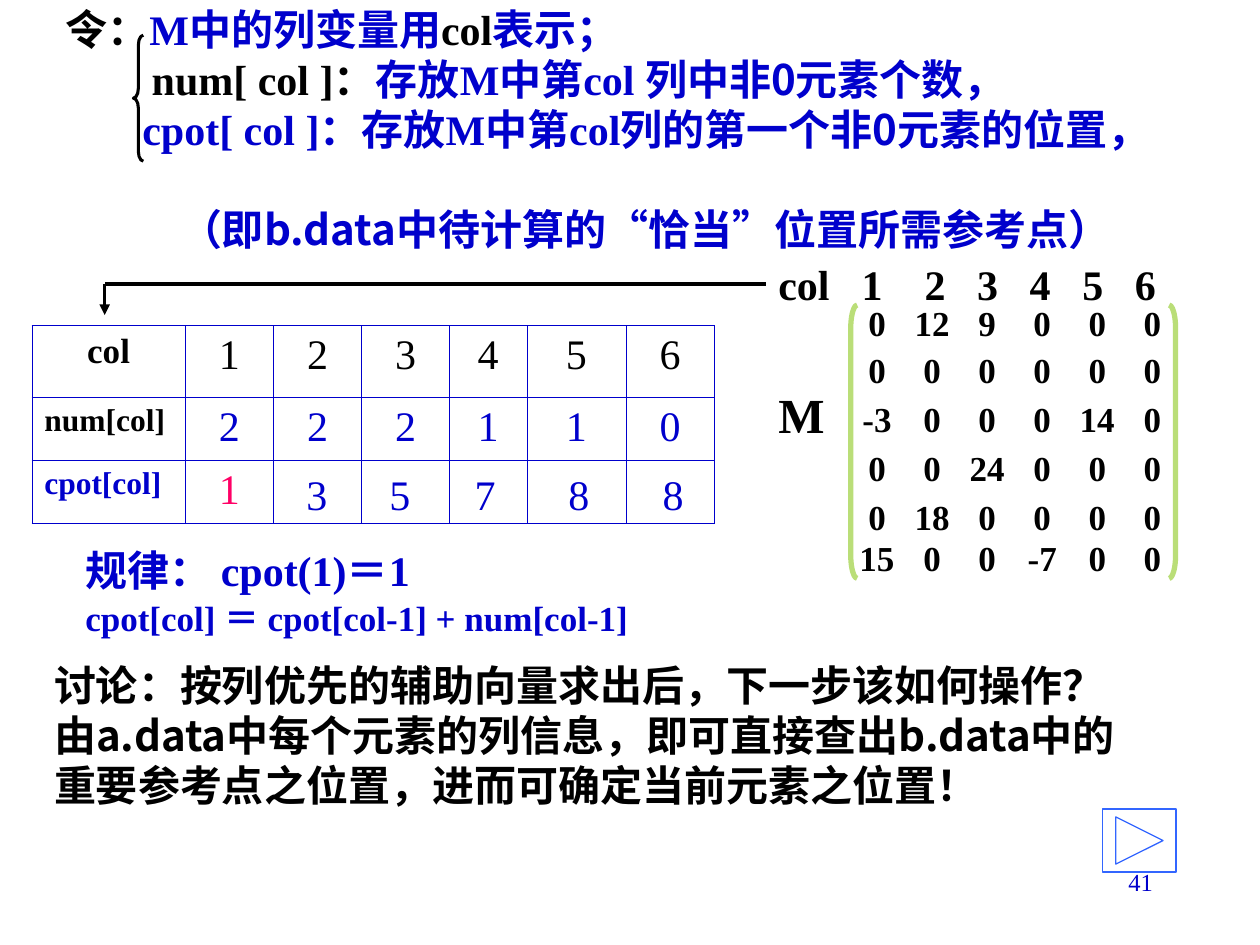
from dataclasses import dataclass
from lxml.etree import SubElement as Sub
from pptx import Presentation
from pptx.dml.color import RGBColor as Rgb
from pptx.enum.shapes import MSO_CONNECTOR as Link, MSO_SHAPE as Form
from pptx.enum.text import MSO_ANCHOR as Anchor, PP_ALIGN as Align
from pptx.oxml.ns import qn
from pptx.util import Cm, Pt


@dataclass(frozen=True)
class Theme:
    black: str = "000000"
    blue: str = "0000CC"
    pink: str = "FF0066"
    green: str = "BADE78"
    sky: str = "3366FF"
    serif: str = "Times New Roman"
    sans: str = "Noto Sans CJK SC"
    page: int = 14
    label: int = 18
    mid: int = 20
    body: int = 24
    big: int = 28
    lead: float = 28.6
    tight: float = 25


T = Theme()


class Deck:
    def __init__(self, theme):
        self.theme = theme
        self.file = Presentation()
        self.file.slide_width, self.file.slide_height = Cm(25.4), Cm(19.05)
        self.slide = self.file.slides.add_slide(self.file.slide_layouts[6])

    def box(self, x, y, w, h, anchor=Anchor.TOP, wrap=True):
        frame = self.slide.shapes.add_textbox(Cm(x), Cm(y), Cm(w), Cm(h)).text_frame
        frame.word_wrap = wrap
        frame.vertical_anchor = anchor
        return frame

    def para(self, frame, runs, size, ink, bold=True, align=None,
             lead=None, gap=None, left=0, tabs=()):
        last = frame.paragraphs[-1]
        para = frame.add_paragraph() if last.runs else last
        para.alignment = align
        if lead:
            para.line_spacing = Pt(lead)
        if gap:
            para.space_before = Pt(gap)
        props = para._p.get_or_add_pPr()
        if left:
            props.set("marL", str(Cm(left)))
            props.set("indent", "0")
        if tabs:
            stops = Sub(props, qn("a:tabLst"))
            for at in tabs:
                Sub(stops, qn("a:tab"), pos=str(Cm(at)), algn="ctr")
        for text, *style in runs:
            run = para.add_run()
            run.text = text
            font = run.font
            font.name = style[0] if style else self.theme.serif
            font.size, font.bold = Pt(size), bold
            font.color.rgb = Rgb.from_string(style[1] if len(style) > 1 else ink)
            Sub(run._r.get_or_add_rPr(), qn("a:ea"), typeface=self.theme.sans)

    def shape(self, form, x, y, w, h, ink, width, adjust=()):
        shape = self.slide.shapes.add_shape(form, Cm(x), Cm(y), Cm(w), Cm(h))
        shape.shadow.inherit = False
        shape.fill.background()
        shape.line.color.rgb = Rgb.from_string(ink)
        shape.line.width = Pt(width)
        for i, value in enumerate(adjust):
            shape.adjustments[i] = value

    def line(self, x, y, to_x, to_y, head=False):
        line = self.slide.shapes.add_connector(
            Link.STRAIGHT, Cm(x), Cm(y), Cm(to_x), Cm(to_y))
        line.line.color.rgb = Rgb.from_string(self.theme.black)
        line.line.width = Pt(2)
        if head:
            Sub(line.line._get_or_add_ln(), qn("a:tailEnd"), type="triangle")
        Sub(line._element.spPr, qn("a:effectLst"))

    def edge(self, cell):
        props = cell._tc.get_or_add_tcPr()
        for side in ("lnL", "lnR", "lnT", "lnB"):
            line = Sub(props, qn(f"a:{side}"), w=str(Pt(0.25)))
            Sub(Sub(line, qn("a:solidFill")), qn("a:srgbClr"), val=self.theme.blue)
        cell.fill.background()

    def table(self, x, y, cols, rows, data):
        grid = self.slide.shapes.add_table(
            len(rows), len(cols), Cm(x), Cm(y), Cm(sum(cols)), Cm(sum(rows))).table
        grid.first_row = grid.horz_banding = False
        for col, width in zip(grid.columns, cols):
            col.width = Cm(width)
        for row, height in zip(grid.rows, rows):
            row.height = Cm(height)
        for r, (name, size, ink, align, tint, values) in enumerate(data):
            for c in range(len(cols)):
                cell = grid.cell(r, c)
                self.edge(cell)
                if c == 0:
                    self.para(cell.text_frame, [(name,)], size, ink, align=align)
                elif c <= len(values):
                    self.para(cell.text_frame, [(values[c - 1],)], self.theme.body,
                              tint, bold=False, align=Align.CENTER)


def terms(deck):
    serif, sans = T.serif, T.sans
    frame = deck.box(1.07, 0.69, 23.7, 3.81, Anchor.MIDDLE)
    frame.margin_right = 0
    lines = [
        (0, None, [("令：", serif, T.black), ("M中的列变量用",),
                   ("col", serif, T.black), ("表示；",)]),
        (1.74, None, [("num[ col ]", serif, T.black), ("：", sans, T.black),
                      ("存放", sans), ("M",), ("中第", sans), ("col ",),
                      ("列中非0元素个数，", sans)]),
        (1.55, None, [("cpot[ col ]：",), ("存放", sans), ("M",), ("中第", sans),
                      ("col",), ("列的第一个非0元素的位置，", sans)]),
        (2.31, T.lead, [("（即b.data中待计算的", sans), ("“",), ("恰当", sans),
                        ("”",), ("位置所需参考点）", sans)]),
    ]
    for left, gap, runs in lines:
        deck.para(frame, runs, T.body, T.blue, lead=T.lead, gap=gap, left=left)
    deck.shape(Form.LEFT_BRACE, 2.69, 0.71, 0.2, 2.54, T.black, 1.75, (1, 0.5))


def counts(deck):
    mid = Align.CENTER
    deck.table(0.64, 6.56, (3.1, 1.77, 1.78, 1.77, 1.56, 2, 1.78), (1.45, 1.27, 1.27), [
        ("col", T.mid, T.black, mid, T.black, "123456"),
        ("num[col]", T.label, T.black, None, T.blue, "222110"),
        ("cpot[col]", T.label, T.blue, None, T.pink, "1"),
    ])
    frame = deck.box(5.51, 9.32, 8.89, 1.27)
    deck.para(frame, [("\t3\t5\t7\t8\t8",)], T.body, T.blue, bold=False,
              tabs=(0.63, 2.3, 4.02, 5.91, 7.81))
    deck.line(15.44, 5.72, 2.11, 5.72)
    deck.line(2.11, 5.72, 2.11, 6.35, head=True)


def matrix(deck):
    rows = ((0, 12, 9, 0, 0, 0), (0, 0, 0, 0, 0, 0), (-3, 0, 0, 0, 14, 0),
            (0, 0, 24, 0, 0, 0), (0, 18, 0, 0, 0, 0), (15, 0, 0, -7, 0, 0))
    tops = (6.15, 7.11, 8.1, 9.07, 10.06, 10.9)
    stops = [0.43 + 1.11 * i for i in range(6)]
    for form, x in ((Form.LEFT_BRACKET, 17.15), (Form.RIGHT_BRACKET, 23.57)):
        deck.shape(form, x, 6.15, 0.13, 5.51, T.green, 3, (3.75,))
    for top, row in zip(tops, rows):
        frame = deck.box(17, top, 7, 0.69, Anchor.MIDDLE)
        text = "".join(f"\t{value}" for value in row)
        deck.para(frame, [(text,)], T.mid, T.black, tabs=stops)
    frame = deck.box(15.44, 7.62, 1.45, 1.45, wrap=False)
    deck.para(frame, [("M",)], T.big, T.black)
    frame = deck.box(15.44, 5.08, 8.69, 1.27)
    deck.para(frame, [("col\t1\t2\t3\t4\t5\t6",)], T.body, T.black,
              tabs=[1.89] + [3.16 + 1.06 * i for i in range(5)])


def notes(deck):
    frame = deck.box(1.47, 10.85, 12.5, 2.11)
    deck.para(frame, [("规律： cpot(1)＝1",)], T.body, T.blue, lead=T.lead)
    deck.para(frame, [("cpot[col] ＝ cpot[col-1] + num[col-1]",)], T.mid, T.blue,
              lead=T.tight)
    frame = deck.box(0.84, 13.18, 22.43, 3.3)
    deck.para(frame, [("讨论：按列优先的辅助向量求出后，",),
                      ("下一步该如何操作？", T.sans)], T.body, T.black, lead=T.lead)
    deck.para(frame, [("由a.data中每个元素的列信息，即可直接查出b.data中的重要参考点之位置，"
                       "进而可确定当前元素之位置！", T.sans)], T.body, T.black, lead=T.lead)


def foot(deck):
    deck.shape(Form.ACTION_BUTTON_FORWARD_OR_NEXT, 22.23, 16.31, 1.48, 1.27, T.sky, 0.75)
    frame = deck.box(18.21, 17.35, 5.28, 1.27)
    deck.para(frame, [("41",)], T.page, T.blue, bold=False, align=Align.RIGHT)


def main():
    deck = Deck(T)
    for part in (terms, counts, matrix, notes, foot):
        part(deck)
    deck.file.save("out.pptx")


if __name__ == "__main__":
    main()
